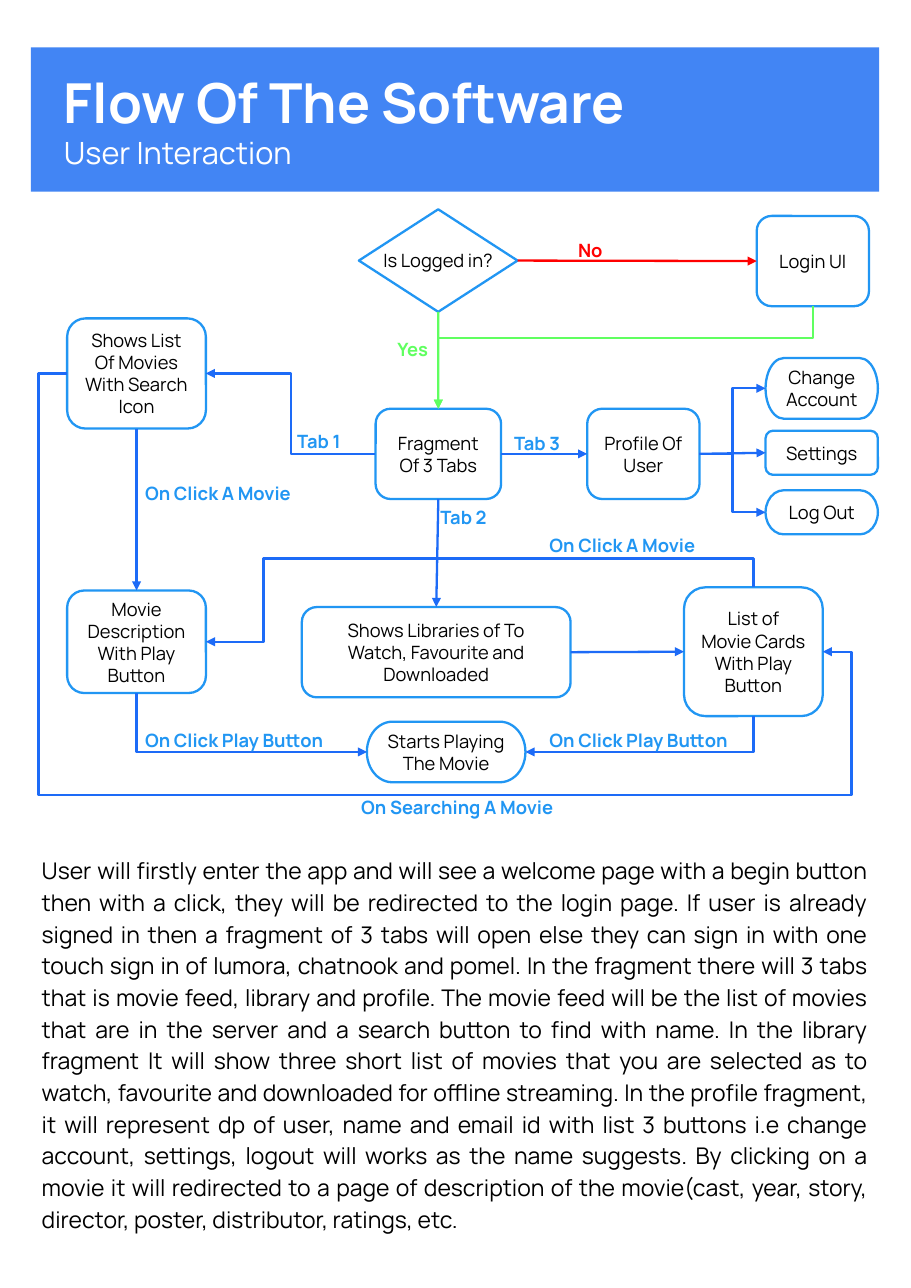
from lxml import etree
from pptx import Presentation
from pptx.dml.color import RGBColor
from pptx.enum import shapes, text
from pptx.oxml.ns import qn
from pptx.util import Pt

WHITE = RGBColor(0xFF, 0xFF, 0xFF)
BLACK = RGBColor(0, 0, 0)
BANNER = RGBColor(0x42, 0x85, 0xF4)
OUTLINE = RGBColor(0x21, 0x96, 0xF3)
FLOW = RGBColor(0x1D, 0x6B, 0xF7)
YES = RGBColor(0x60, 0xFF, 0x60)
NO = RGBColor(0xFF, 0, 0)
TOP, LEFT, BOTTOM, RIGHT = range(4)


def write(paragraph, words, size, color, bold=False, align=text.PP_ALIGN.LEFT):
    paragraph.alignment = align
    run = paragraph.add_run()
    run.text = words
    run.font.name = "Manrope"
    run.font.size = Pt(size)
    run.font.bold = bold
    run.font.color.rgb = color


def side_point(node, side):
    """Return the middle of one side of a node."""
    across, down = {TOP: (1, 0), LEFT: (0, 1), BOTTOM: (1, 2), RIGHT: (2, 1)}[side]
    return node.left + node.width * across // 2, node.top + node.height * down // 2


prs = Presentation()
prs.slide_width, prs.slide_height = Pt(595.44), Pt(841.68)
slide = prs.slides.add_slide(prs.slide_layouts[5])

# Banner
title = slide.shapes.title
title.left, title.top, title.width, title.height = Pt(20.2), Pt(31), Pt(554.4), Pt(94.3)
title.fill.solid()
title.fill.fore_color.rgb = BANNER
frame = title.text_frame
frame.auto_size = text.MSO_AUTO_SIZE.NONE
frame.vertical_anchor = text.MSO_ANCHOR.MIDDLE
frame.margin_left = Pt(21.6)
frame.margin_top = frame.margin_right = frame.margin_bottom = Pt(7.2)
write(frame.paragraphs[0], "Flow Of The Software", 36, WHITE, bold=True)
write(frame.add_paragraph(), "User Interaction", 20, WHITE)

# Description
sentences = [
    "User will firstly enter the app and will see a welcome page with a begin button "
    "then with a click, they will be redirected to the login page. ",
    "If user is already signed in then a fragment of 3 tabs will open else they can "
    "sign in with one touch sign in of lumora, chatnook and pomel. ",
    "In the fragment there will 3 tabs that is movie feed, library and profile. ",
    "The movie feed will be the list of movies that are in the server and a search "
    "button to find with name. ",
    "In the library fragment It will show three short list of movies that you are "
    "selected as to watch, favourite and downloaded for offline streaming. ",
    "In the profile fragment, it will represent dp of user, name and email id with list "
    "3 buttons i.e change account, settings, logout will works as the name suggests. ",
    "By clicking on a movie it will redirected to a page of description of the "
    "movie(cast, year, story, director, poster, distributor, ratings, etc.",
]
description = slide.shapes.add_textbox(Pt(20.2), Pt(550), Pt(554.4), Pt(260.6))
frame = description.text_frame
frame.word_wrap = True
frame.margin_left = frame.margin_right = frame.margin_top = frame.margin_bottom = Pt(7.2)
frame.paragraphs[0].line_spacing = 1.15
for sentence in sentences:
    write(frame.paragraphs[0], sentence, 15, BLACK, align=text.PP_ALIGN.JUSTIFY)

# Flowchart steps: words, preset, left, top, width, height
DECISION = shapes.MSO_SHAPE.FLOWCHART_DECISION
BOX = shapes.MSO_SHAPE.ROUNDED_RECTANGLE
PILL = shapes.MSO_SHAPE.FLOWCHART_TERMINATOR
steps = {
    "logged_in": ("Is Logged in?", DECISION, 234.6, 136.8, 103.7, 67),
    "login": ("Login UI", BOX, 494.6, 141.1, 73.4, 59),
    "tabs": ("Fragment Of 3 Tabs", BOX, 245.5, 267.1, 82, 59),
    "profile": ("Profile Of User", BOX, 383.8, 267.1, 73.4, 59),
    "account": ("Change Account", PILL, 500.4, 234, 73.4, 39.6),
    "settings": ("Settings", BOX, 500.4, 281.5, 73.4, 28.8),
    "log_out": ("Log Out", PILL, 500.4, 320.4, 73.4, 28.8),
    "search": ("Shows List Of Movies With Search Icon", BOX, 43.9, 208.1, 90.7, 72),
    "movie": ("Movie Description With Play Button", BOX, 43.9, 385.9, 90.7, 67),
    "cards": ("List of Movie Cards With Play Button", BOX, 447.1, 383.8, 90.7, 84.2),
    "libraries": ("Shows Libraries of To Watch, Favourite and Downloaded",
                  BOX, 197.3, 396.7, 175.7, 59),
    "playing": ("Starts Playing The Movie", PILL, 239.8, 471.6, 103.7, 39.6),
}
nodes = {}
for key, (words, preset, *box) in steps.items():
    node = nodes[key] = slide.shapes.add_shape(preset, *map(Pt, box))
    node.shadow.inherit = False
    node.fill.background()
    node.line.color.rgb = OUTLINE
    node.line.width = Pt(1.5)
    frame = node.text_frame
    frame.word_wrap = preset != DECISION
    frame.vertical_anchor = text.MSO_ANCHOR.MIDDLE
    frame.margin_left = frame.margin_right = frame.margin_top = frame.margin_bottom = Pt(7.2)
    write(frame.paragraphs[0], words, 12, BLACK, align=text.PP_ALIGN.CENTER)

# Arrows: from, side, to, side, colour, number of legs, bend positions in 1/100000
arrows = [
    ("logged_in", RIGHT, "login", LEFT, NO, 1, []),
    ("logged_in", BOTTOM, "tabs", TOP, YES, 1, []),
    ("libraries", RIGHT, "cards", LEFT, FLOW, 1, []),
    ("search", BOTTOM, "movie", TOP, FLOW, 1, []),
    ("profile", RIGHT, "settings", LEFT, FLOW, 1, []),
    ("tabs", BOTTOM, "libraries", TOP, FLOW, 1, []),
    ("tabs", RIGHT, "profile", LEFT, FLOW, 1, []),
    ("search", LEFT, "cards", RIGHT, FLOW, 5, [-3800, 151500, 103800]),
    ("tabs", LEFT, "search", RIGHT, FLOW, 3, [50000]),
    ("cards", TOP, "movie", RIGHT, FLOW, 4, [-52900, 89500]),
    ("cards", BOTTOM, "playing", RIGHT, FLOW, 2, []),
    ("movie", BOTTOM, "playing", LEFT, FLOW, 2, []),
    ("login", BOTTOM, "tabs", TOP, YES, 3, [31100]),
    ("profile", RIGHT, "log_out", LEFT, FLOW, 3, [50000]),
    ("profile", RIGHT, "account", LEFT, FLOW, 3, [50000]),
]
for source, source_side, target, target_side, color, legs, bends in arrows:
    x1, y1 = side_point(nodes[source], source_side)
    x2, y2 = side_point(nodes[target], target_side)
    upright = legs > 1 and source_side in (TOP, BOTTOM)
    if upright:  # an elbow that leaves vertically is a horizontal one turned by 90 degrees
        mid_x, mid_y, run_x, run_y = (x1 + x2) // 2, (y1 + y2) // 2, y2 - y1, x1 - x2
        x1, y1 = mid_x - run_x // 2, mid_y - run_y // 2
        x2, y2 = x1 + run_x, y1 + run_y
    kind = shapes.MSO_CONNECTOR.STRAIGHT if legs == 1 else shapes.MSO_CONNECTOR.ELBOW
    arrow = slide.shapes.add_connector(kind, x1, y1, x2, y2)
    arrow.line.color.rgb = color
    arrow.line.width = Pt(1.5)
    properties = arrow._element.spPr
    if legs == 1:
        arrow.begin_connect(nodes[source], source_side)
        arrow.end_connect(nodes[target], target_side)
    else:
        geometry = properties.find(qn("a:prstGeom"))
        geometry.set("prst", f"bentConnector{legs}")
        guides = geometry.find(qn("a:avLst"))
        for number, bend in enumerate(bends, 1):
            etree.SubElement(guides, qn("a:gd"), name=f"adj{number}", fmla=f"val {bend}")
    if upright:
        properties.find(qn("a:xfrm")).set("rot", "5400000")
    etree.SubElement(properties.find(qn("a:ln")), qn("a:tailEnd"), type="triangle")
    etree.SubElement(properties, qn("a:effectLst"))

# Arrow labels: words, left, top, width, colour
labels = [
    ("No", 370.8, 149, 50.4, NO),
    ("Yes", 252.7, 213.8, 50.4, YES),
    ("Tab 3", 329, 275, 50.4, OUTLINE),
    ("Tab 1", 187.2, 273.6, 50.4, OUTLINE),
    ("Tab 2", 280.8, 323.3, 55.4, OUTLINE),
    ("On Click A Movie", 352.1, 342, 216, OUTLINE),
    ("On Click A Movie", 87.8, 308.2, 216, OUTLINE),
    ("On Click Play Button", 87.8, 469.4, 216, OUTLINE),
    ("On Click Play Button", 352.1, 469.4, 216, OUTLINE),
    ("On Searching A Movie", 229, 513.4, 141.8, OUTLINE),
]
for words, left, top, width, color in labels:
    label = slide.shapes.add_textbox(Pt(left), Pt(top), Pt(width), Pt(28.8))
    frame = label.text_frame
    frame.word_wrap = True
    frame.margin_left = frame.margin_right = frame.margin_top = frame.margin_bottom = Pt(7.2)
    write(frame.paragraphs[0], words, 12, color, bold=True)

prs.save("out.pptx")
